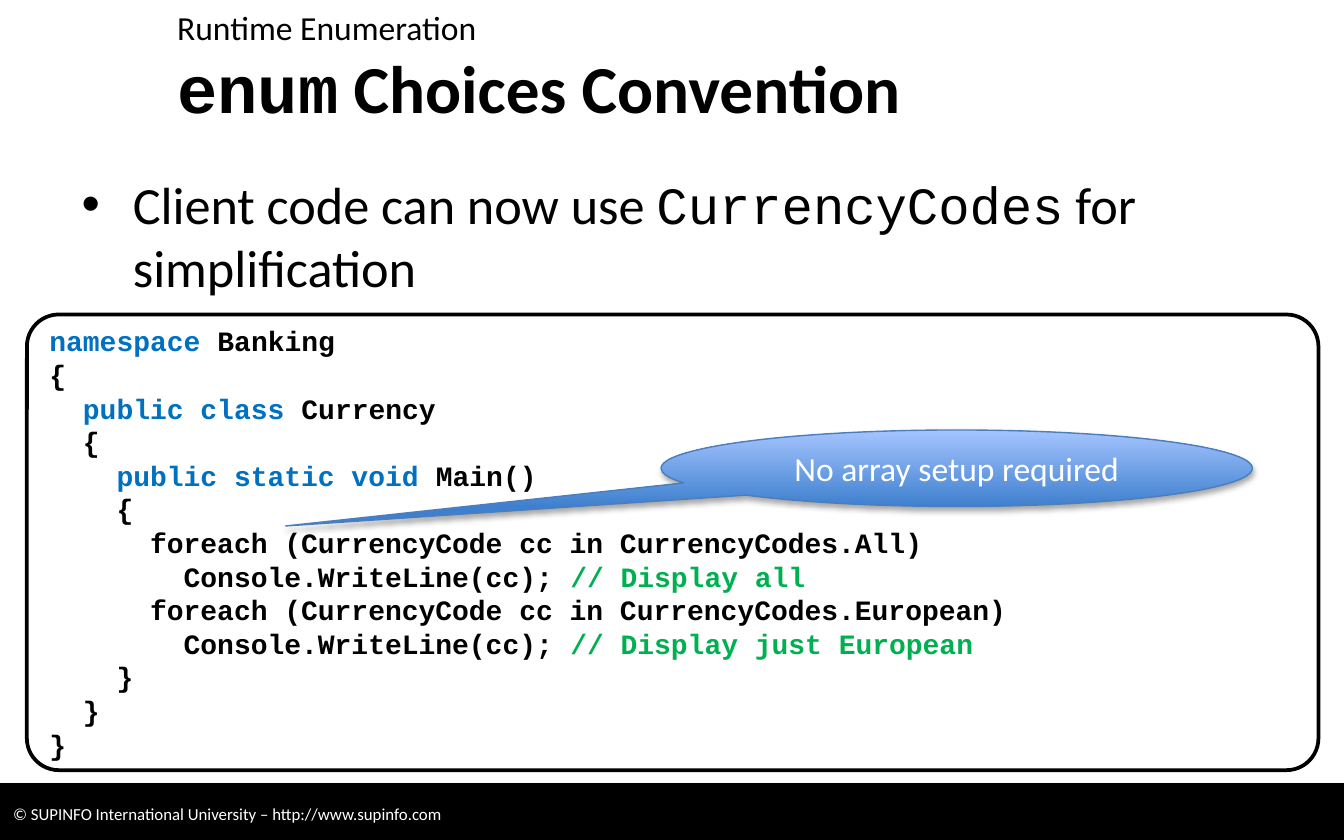
"""Build the slide on the enum choices convention with its code panel and callout."""
from lxml import etree
from pptx import Presentation, util as u
from pptx.dml.color import RGBColor
from pptx.enum import shapes, text
from pptx.oxml.ns import qn

COLORS = {
    "black": "000000",
    "white": "FFFFFF",
    "keyword": "0070C0",
    "comment": "00B050",
    "callout_edge": "4B7EBC",
    "callout_low": "3F80CE",
    "callout_high": "A4C4FF",
    "soft_gray": "808080",
}
SANS, MONO = "Calibri", "Courier New"

CODE = [
    [("namespace ", "keyword"), ("Banking", "black")],
    [("{", "black")],
    [("  public class ", "keyword"), ("Currency", "black")],
    [("  {", "black")],
    [("    public static void ", "keyword"), ("Main()", "black")],
    [("    {", "black")],
    [("      foreach (CurrencyCode cc in CurrencyCodes.All)", "black")],
    [("        Console.WriteLine(cc); ", "black"), ("// Display all", "comment")],
    [("      foreach (CurrencyCode cc in CurrencyCodes.European)", "black")],
    [("        Console.WriteLine(cc); ", "black"), ("// Display just European", "comment")],
    [("    }", "black")],
    [("  }", "black")],
    [("}", "black")],
]


def rgb(name):
    return RGBColor.from_string(COLORS[name])


def points(*values):
    return [u.Pt(value) for value in values]


def add_span(para, words, color="black", **font):
    span = para.add_run()
    span.text = words
    span.font.color.rgb = rgb(color)
    for name, value in font.items():
        setattr(span.font, name, value)


def set_frame(frame, **values):
    frame.word_wrap = True
    for name, value in values.items():
        setattr(frame, name, value)


def add_text_box(page, place, anchor=text.MSO_ANCHOR.TOP):
    box = page.shapes.add_textbox(*points(*place))
    set_frame(box.text_frame, vertical_anchor=anchor)
    return box.text_frame.paragraphs[0]


def add_panel(page, kind, place, line, width, adjustments=()):
    panel = page.shapes.add_shape(kind, *points(*place))
    panel.shadow.inherit = False
    panel.line.color.rgb = rgb(line)
    panel.line.width = u.Pt(width)
    for index, value in enumerate(adjustments):
        panel.adjustments[index] = value
    set_frame(panel.text_frame, vertical_anchor=text.MSO_ANCHOR.MIDDLE)
    panel.text_frame.paragraphs[0].alignment = text.PP_ALIGN.LEFT
    return panel


def fill_solid(panel, color):
    panel.fill.solid()
    panel.fill.fore_color.rgb = rgb(color)


def fill_gradient(panel, colors, angle):
    panel.fill.gradient()
    panel.fill.gradient_angle = angle
    for position, (stop, color) in enumerate(zip(panel.fill.gradient_stops, colors)):
        stop.position = position
        stop.color.rgb = rgb(color)


def add_shadow(panel, color):
    effects = panel._element.spPr.find(qn("a:effectLst"))
    shadow = etree.SubElement(
        effects, qn("a:outerShdw"), blurRad=str(u.Pt(3.1)), dist=str(u.Pt(1.8)),
        dir="5400000", rotWithShape="0")
    tone = etree.SubElement(shadow, qn("a:srgbClr"), val=COLORS[color])
    etree.SubElement(tone, qn("a:alpha"), val="35000")


def add_bullet(para, indent):
    props = para._p.get_or_add_pPr()
    props.set("marL", str(u.Pt(indent)))
    props.set("indent", str(-u.Pt(indent)))
    etree.SubElement(props, qn("a:buFont"), typeface="Arial")
    etree.SubElement(props, qn("a:buChar"), char="•")


def add_footer(page):
    footer = add_panel(page, shapes.MSO_SHAPE.RECTANGLE, (0, 419.8, 720, 32.4), "black", 0.75)
    fill_solid(footer, "black")
    add_shadow(footer, "soft_gray")
    add_span(footer.text_frame.paragraphs[0],
             "© SUPINFO International University – http://www.supinfo.com",
             "white", name=SANS, size=u.Pt(9))


def add_headings(page):
    title = add_text_box(page, (87.8, 26.6, 612.7, 39.6), text.MSO_ANCHOR.MIDDLE)
    for words, face in (("enum", MONO), (" Choices Convention", SANS)):
        add_span(title, words, name=face, size=u.Pt(36), bold=True)
    topic = add_text_box(page, (87.8, 0, 612.7, 26.6))
    add_span(topic, "Runtime Enumeration", name=SANS, size=u.Pt(18))


def add_statement(page):
    para = add_text_box(page, (36.7, 88.6, 652.3, 76))
    add_bullet(para, 27.4)
    for words, face in (("Client code can now use ", SANS), ("CurrencyCodes", MONO),
                        (" for simplification", SANS)):
        add_span(para, words, name=face, size=u.Pt(28))


def add_code(page):
    panel = add_panel(page, shapes.MSO_SHAPE.ROUNDED_RECTANGLE,
                      (14.4, 168.5, 691.9, 244.1), "black", 2, [0.07])
    fill_solid(panel, "white")
    frame = panel.text_frame
    for index, spans in enumerate(CODE):
        para = frame.add_paragraph() if index else frame.paragraphs[0]
        para.alignment = text.PP_ALIGN.LEFT
        for words, color in spans:
            add_span(para, words, color, name=MONO, size=u.Pt(15), bold=True)


def add_callout(page):
    callout = add_panel(page, shapes.MSO_SHAPE.OVAL_CALLOUT,
                        (354.2, 230.4, 316.8, 41), "callout_edge", 0.75, [-1.135, 0.754])
    fill_gradient(callout, ("callout_low", "callout_high"), 90)
    add_shadow(callout, "black")
    para = callout.text_frame.paragraphs[0]
    para.alignment = text.PP_ALIGN.CENTER
    add_span(para, "No array setup required", "white", name=SANS, size=u.Pt(18))


def main():
    deck = Presentation()
    deck.slide_width, deck.slide_height = points(720, 450)
    page = deck.slides.add_slide(deck.slide_layouts[6])
    add_footer(page)
    add_headings(page)
    add_statement(page)
    add_code(page)
    add_callout(page)
    deck.save("out.pptx")


if __name__ == "__main__":
    main()
